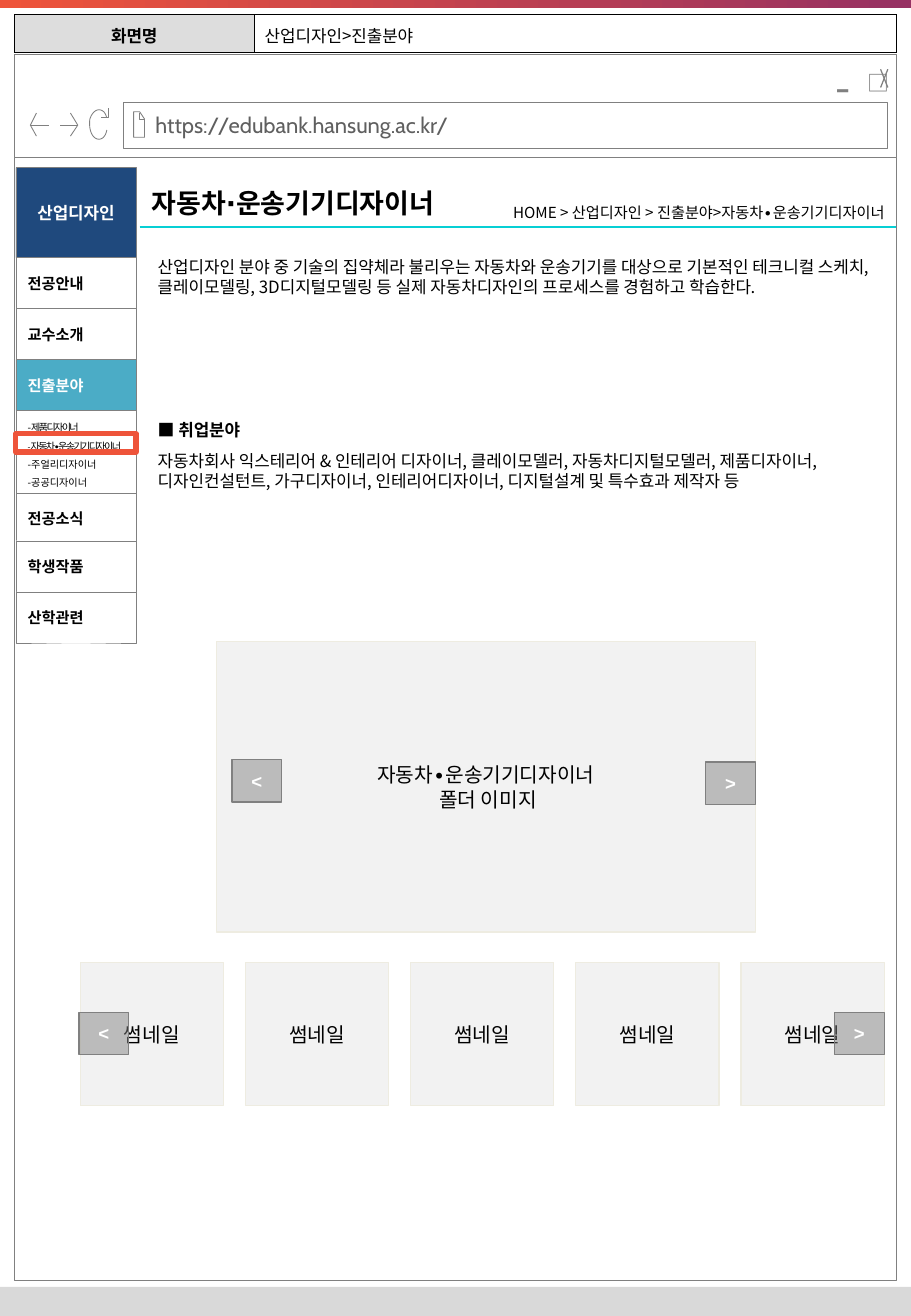
from dataclasses import dataclass

from lxml.etree import SubElement as Sub
from pptx import Presentation
from pptx.dml.color import RGBColor as Rgb
from pptx.enum.shapes import MSO_CONNECTOR as Wire, MSO_SHAPE as Form
from pptx.enum.text import MSO_ANCHOR as Anchor, PP_ALIGN as Align
from pptx.oxml.ns import qn
from pptx.oxml.xmlchemy import OxmlElement as Node
from pptx.util import Pt

PX = 9144  # EMU per px, 100 px to the inch


@dataclass(frozen=True)
class Theme:
    font: str = "Noto Sans CJK KR"
    sans: str = "Arial"
    web: str = "Cabin"
    ink: str = "000000"
    paper: str = "FFFFFF"
    gray: str = "808080"
    url: str = "5F5F5F"
    head: str = "DDDDDD"
    foot: str = "D9D9D9"
    navy: str = "1F497D"
    aqua: str = "4BACC6"
    rule: str = "06CFD4"
    panel: str = "F2F2F2"
    edge: str = "EEECE1"
    hot: str = "EE543A"
    plum: str = "973163"
    dash: int = 26
    title: int = 16
    bar: int = 13
    big: int = 12
    arrow: int = 11
    body: int = 10
    menu: int = 9
    sub: int = 6
    tiny: int = 5


class Page:
    def __init__(self, slide, theme):
        self.shapes, self.theme = slide.shapes, theme

    def label(self, frame, paras, size, color=None, font=None, bold=False,
              align=Align.LEFT, gap=None):
        """Fill a frame; a paragraph is a string or a list of (text, size, spc) runs."""
        for i, para in enumerate(paras):
            p = frame.add_paragraph() if i else frame.paragraphs[0]
            for key, val in {"alignment": align, "line_spacing": gap}.items():
                setattr(p, key, val)
            runs = [(para, size, 0)] if isinstance(para, str) else para
            for text, pts, spc in runs:
                run = p.add_run()
                form = {"name": font or self.theme.font, "size": Pt(pts), "bold": bold}
                run.text = text
                for key, val in form.items():
                    setattr(run.font, key, val)
                run.font.color.rgb = Rgb.from_string(color or self.theme.ink)
                props = run._r.get_or_add_rPr()
                Sub(props, qn("a:ea"), typeface=self.theme.font)
                if spc:
                    props.set("spc", str(spc))

    def paint(self, shape, fill=None, line=None, width=0.5):
        shape.shadow.inherit = False
        if fill:
            shape.fill.solid()
            shape.fill.fore_color.rgb = Rgb.from_string(fill)
        else:
            shape.fill.background()
        if line:
            shape.line.color.rgb = Rgb.from_string(line)
            shape.line.width = Pt(width)
        else:
            shape.line.fill.background()

    def fit(self, frame, inset=(10, 5, 10, 5), anchor=Anchor.MIDDLE, wrap=True):
        left, top, right, bottom = (n * PX for n in inset)
        form = {"margin_left": left, "margin_top": top, "margin_right": right,
                "margin_bottom": bottom, "vertical_anchor": anchor, "word_wrap": wrap}
        for key, val in form.items():
            setattr(frame, key, val)

    def box(self, at, fill=None, line=None, width=0.5, paras=(), inset=(10, 5, 10, 5),
            wrap=True, **style):
        shape = self.shapes.add_shape(Form.RECTANGLE, *(n * PX for n in at))
        self.paint(shape, fill, line, width)
        if paras:
            self.fit(shape.text_frame, inset, wrap=wrap)
            self.label(shape.text_frame, paras, **style)
        return shape

    def text(self, at, para, size, anchor=Anchor.TOP, **style):
        frame = self.shapes.add_textbox(*(n * PX for n in at)).text_frame
        self.fit(frame, anchor=anchor)
        self.label(frame, [para], size, **style)

    def fade(self, at, ends):
        """A band that runs from the first colour to the second, left to right."""
        fill = self.box(at).fill
        fill.gradient()
        fill.gradient_angle = 0
        for stop, color in zip(fill.gradient_stops, ends):
            stop.color.rgb = Rgb.from_string(color)

    def draw(self, *trails, width=0.5):
        """Outline made of open trails of points."""
        build = None
        for trail in trails:
            first, *rest = [(round(x * PX), round(y * PX)) for x, y in trail]
            if build:
                build.move_to(*first)
            else:
                build = self.shapes.build_freeform(*first)
            build.add_line_segments(rest, close=False)
        self.paint(build.convert_to_shape(), line=self.theme.gray, width=width)

    def rule(self, x1, y1, x2, y2, color, width):
        wire = self.shapes.add_connector(Wire.STRAIGHT, *(n * PX for n in (x1, y1, x2, y2)))
        wire.line.color.rgb = Rgb.from_string(color)
        wire.line.width = Pt(width)
        wire._element.spPr.append(Node("a:effectLst"))

    def table(self, at, cols, cells):
        """One row of cells, each given as (text, fill, align, bold)."""
        grid = self.shapes.add_table(1, len(cols), *(n * PX for n in at)).table
        for i, (wide, (name, fill, align, bold)) in enumerate(zip(cols, cells)):
            grid.columns[i].width = wide * PX
            cell = grid.cell(0, i)
            form = {"margin_left": 9 * PX, "margin_right": 9 * PX, "margin_top": 7 * PX,
                    "margin_bottom": 4 * PX, "vertical_anchor": Anchor.MIDDLE}
            for key, val in form.items():
                setattr(cell, key, val)
            cell.fill.solid()
            cell.fill.fore_color.rgb = Rgb.from_string(fill)
            self.label(cell.text_frame, [name], self.theme.body, bold=bold, align=align)
            props = cell._tc.get_or_add_tcPr()
            for n, side in enumerate("LRTB"):
                edge = Node(f"a:ln{side}")
                edge.set("w", str(Pt(0.25)))
                Sub(Sub(edge, qn("a:solidFill")), qn("a:srgbClr"), val=self.theme.ink)
                props.insert(n, edge)

    def panel(self, at, *paras):
        look = self.theme
        self.box(at, look.panel, look.edge, 0.75, paras, size=look.big, align=Align.CENTER)

    def arrow(self, left, top, sign):
        look = self.theme
        shape = self.box((left, top, 41, 35), look.gray, look.gray, 0.75, [sign], (4, 4, 4, 4),
                         False, size=look.arrow, color=look.paper, font=look.sans,
                         bold=True, align=Align.CENTER)
        tint = shape._element.spPr.find(f"{qn('a:solidFill')}/{qn('a:srgbClr')}")
        Sub(tint, qn("a:alpha"), val="48000")


def curve(a, b, c, d, steps=12):
    """Points along a cubic curve."""
    return [tuple((1 - t) ** 3 * p + 3 * t * (1 - t) ** 2 * q + 3 * t * t * (1 - t) * r + t ** 3 * s
                  for p, q, r, s in zip(a, b, c, d))
            for t in (n / steps for n in range(steps + 1))]


def frame(page):
    look = page.theme
    page.fade((0, 0, 750, 7), (look.hot, look.plum))
    page.box((0, 1059, 750, 24), look.foot)
    for top, high in ((130, 924), (45, 85)):
        page.box((12, top, 726, high), look.paper, look.gray)
    page.box((102, 84, 629, 38), look.paper, look.gray, paras=["https://edubank.hansung.ac.kr/"],
             inset=(26, 5, 10, 5), size=look.bar, color=look.url, font=look.web)
    page.draw([(115, 93), (115, 98), (119, 98)],
              [(110, 92), (110, 113), (119, 113), (119, 98), (115, 92), (110, 92)])
    for tip, barb, end in ((25, 30, 40), (64, 58, 49)):
        page.draw([(barb, 112), (tip, 103), (barb, 93)], [(tip, 103), (end, 103)])
    page.draw([(89, 89), (89, 97), (83, 97)],
              curve((88, 107), (87, 113), (83, 116), (79, 114))
              + curve((79, 114), (75, 112), (73, 105), (74, 98))
              + curve((74, 98), (76, 92), (80, 89), (84, 91))
              + curve((84, 91), (86, 92), (87, 94), (88, 97)))
    page.draw([(731, 57), (725, 72)], [(725, 57), (731, 72)], width=0.75)
    for at, sign, size in (((705, 41, 19, 43), "□", look.bar), ((675, 22, 39, 76), "-", look.dash)):
        page.text(at, sign, size, Anchor.MIDDLE, color=look.gray, align=Align.CENTER, gap=1.5)
    page.table((12, 12, 726, 31), (197, 529),
               (("화면명", look.head, Align.CENTER, True),
                ("산업디자인>진출분야", look.paper, Align.LEFT, False)))


def menu(page):
    look = page.theme
    top = 138
    subs = [[("-", look.sub, 0), ("제품디자이너", look.sub, -100)],
            [("-", look.tiny, -100), ("자동차∙운송기기디자이너", look.sub, -100)],
            "-주얼리디자이너", "-공공디자이너"]
    item = {"size": look.menu, "bold": True}
    first = {"size": look.body, "bold": True, "color": look.paper, "align": Align.CENTER}
    for paras, step, fill, style in (
            (["산업디자인"], 74, look.navy, first),
            (["전공안내"], 42, look.paper, item),
            (["교수소개"], 42, look.paper, item),
            (["진출분야"], 42, look.aqua, {**item, "color": look.paper}),
            (subs, 68, look.paper, {"size": look.sub, "gap": 1.5}),
            (["전공소식"], 39, look.paper, item),
            (["학생작품"], 42, look.paper, item),
            (["산학관련"], 42, look.paper, item)):
        page.box((13, top, 99, max(step, 42)), fill, look.gray, 0.25, paras, **style)
        top += step
    page.box((13, 357, 99, 15), line=look.hot, width=3)


def content(page):
    look = page.theme
    page.box((115, 146, 273, 42), look.paper, paras=["자동차∙운송기기디자이너"],
             size=look.title, bold=True)
    page.rule(115, 187, 738, 187, look.rule, 1)
    page.text((298, 162, 440, 25), "HOME > 산업디자인 > 진출분야>자동차∙운송기기디자이너",
              look.menu, align=Align.RIGHT)
    page.text((120, 206, 618, 61), "산업디자인 분야 중 기술의 집약체라 불리우는 자동차와 운송기기를 대상으로 "
              "기본적인 테크니컬 스케치, 클레이모델링, 3D디지털모델링 등 실제 자동차디자인의 "
              "프로세스를 경험하고 학습한다.", look.body)
    page.text((120, 340, 116, 27), "■ 취업분야", look.body, Anchor.MIDDLE, font=look.sans, bold=True)
    page.text((120, 366, 618, 44), "자동차회사 익스테리어 & 인테리어 디자이너, 클레이모델러, "
              "자동차디지털모델러, 제품디자이너, 디자인컨설턴트, 가구디자이너, 인테리어디자이너, "
              "디지털설계 및 특수효과 제작자 등", look.body)
    page.panel((178, 528, 444, 239), "자동차∙운송기기디자이너", " 폴더 이미지")
    for n in range(5):
        page.panel((66 + 136 * n, 792, 118, 118), "썸네일")
    for left, top, sign in ((65, 833, "<"), (687, 833, ">"), (191, 625, "<"), (581, 627, ">")):
        page.arrow(left, top, sign)


def main():
    deck = Presentation()
    deck.slide_width, deck.slide_height = 750 * PX, 1083 * PX
    page = Page(deck.slides.add_slide(deck.slide_layouts[6]), Theme())
    frame(page)
    menu(page)
    content(page)
    deck.save("out.pptx")


if __name__ == "__main__":
    main()
